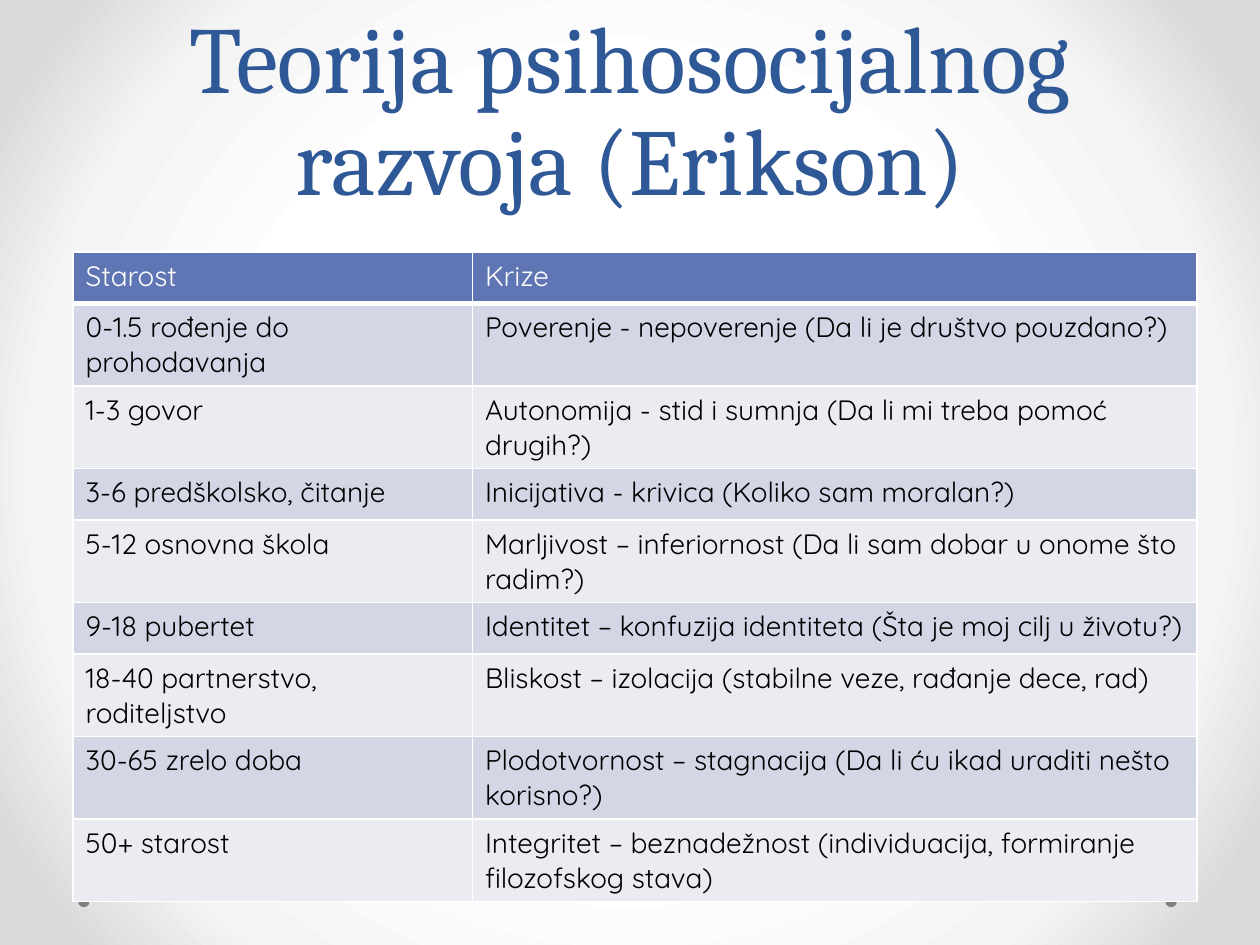
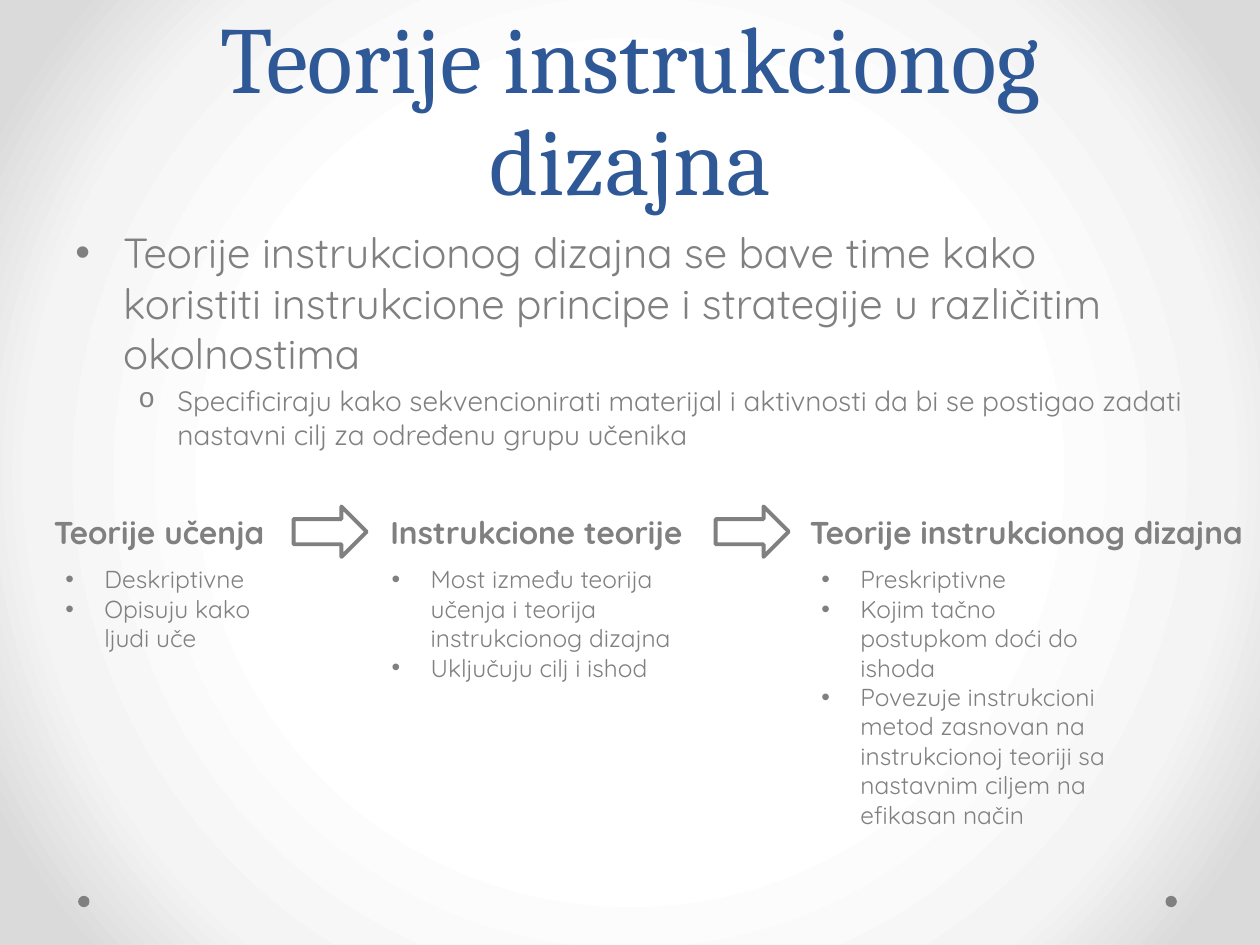
from pptx import Presentation
from pptx.dml.color import RGBColor
from pptx.enum.shapes import MSO_SHAPE
from pptx.enum.text import MSO_ANCHOR, MSO_AUTO_SIZE, PP_ALIGN
from pptx.oxml.ns import qn
from pptx.util import Inches, Pt
from lxml import etree

OVAL, ARROW = MSO_SHAPE.OVAL, MSO_SHAPE.RIGHT_ARROW
CENTER, BOTTOM = PP_ALIGN.CENTER, MSO_ANCHOR.BOTTOM
NO_FIT = MSO_AUTO_SIZE.NONE
TITLE_ONLY = 5

COLORS = {"title": "2F5897", "gray": "808080", "white": "FFFFFF", "black": "000000",
          "head": "6076B4", "odd": "D2D6E5", "even": "EAECF2",
          "mist": "F4F4F4", "edge": "DADADA"}
TITLE_FONT, BODY_FONT = "Cambria", "Quicksand"


def rgb(name):
    return RGBColor.from_string(COLORS[name])


def sub(parent, tag, **attrs):
    return etree.SubElement(parent, qn(tag), {k: str(v) for k, v in attrs.items()})


class Deck:
    def __init__(self):
        self.prs = Presentation()
        self.prs.slide_width, self.prs.slide_height = Inches(10), Inches(7.5)
        self.slide = None
        self.background()

    def background(self):
        """Radial gradient shared by all slides through the master."""
        master = self.prs.slide_master
        master.background.fill.gradient()
        grad = master.element.find(".//" + qn("a:gradFill"))
        for child in list(grad):
            grad.remove(child)
        stops = sub(grad, "a:gsLst")
        for pos, name in ((50, "white"), (76, "mist"), (92, "edge")):
            sub(sub(stops, "a:gs", pos=pos * 1000), "a:srgbClr", val=COLORS[name])
        circle = sub(grad, "a:path", path="circle")
        sub(circle, "a:fillToRect", l=50000, t=50000, r=50000, b=50000)

    def new_slide(self, title):
        self.slide = self.prs.slides.add_slide(self.prs.slide_layouts[TITLE_ONLY])
        for x in (9.25, 0.62):
            self.shape(OVAL, x, 7.11, 0.09, 0.09, "gray")
        sp = self.slide.shapes.title
        sp.left, sp.top, sp.width, sp.height = Inches(0.5), 0, Inches(9), Inches(1.75)
        tf = sp.text_frame
        tf.auto_size, tf.word_wrap, tf.vertical_anchor = NO_FIT, True, BOTTOM
        p = tf.paragraphs[0]
        p.alignment, p.line_spacing = CENTER, Pt(58)
        self.run(p, title, 54, "title", font=TITLE_FONT)

    def run(self, p, text, size, color, bold=False, font=BODY_FONT):
        r = p.add_run()
        r.text = text
        r.font.name, r.font.size, r.font.bold = font, Pt(size), bold
        r.font.color.rgb = rgb(color)

    def shape(self, kind, x, y, w, h, fill, line=None):
        sp = self.slide.shapes.add_shape(kind, Inches(x), Inches(y), Inches(w), Inches(h))
        sp.shadow.inherit = False
        sp.fill.solid()
        sp.fill.fore_color.rgb = rgb(fill)
        if line:
            sp.line.color.rgb, sp.line.width = rgb(line), Pt(2.25)
        else:
            sp.line.fill.background()

    def text_box(self, x, y, w, h):
        box = self.slide.shapes.add_textbox(Inches(x), Inches(y), Inches(w), Inches(h))
        box.text_frame.word_wrap = True
        return box.text_frame

    def heading(self, text, x, y, w, h):
        self.run(self.text_box(x, y, w, h).paragraphs[0], text, 18, "gray", bold=True)

    def bullets(self, items, x, y, w, h):
        """Each item is (text, size, margin, hang, bullet, bullet font, space before)."""
        tf = self.text_box(x, y, w, h)
        for i, (text, size, margin, hang, char, font, before) in enumerate(items):
            p = tf.add_paragraph() if i else tf.paragraphs[0]
            p.space_before = Pt(before)
            self.run(p, text, size, "gray")
            pPr = p._p.get_or_add_pPr()
            pPr.set("marL", str(Inches(margin)))
            pPr.set("indent", str(-Inches(hang)))
            sub(pPr, "a:buFont", typeface=font)
            sub(pPr, "a:buChar", char=char)

    def borders(self, cell, top, bottom):
        tcPr = cell._tc.get_or_add_tcPr()
        sides = (("a:lnL", 1), ("a:lnR", 1), ("a:lnT", top), ("a:lnB", bottom))
        for i, (tag, width) in enumerate(sides):
            ln = sub(tcPr, tag, w=Pt(width))
            sub(sub(ln, "a:solidFill"), "a:srgbClr", val=COLORS["white"])
            tcPr.insert(i, ln)

    def table(self, rows, x, y, widths, row_h):
        frame = self.slide.shapes.add_table(
            len(rows), len(widths), Inches(x), Inches(y),
            Inches(sum(widths)), Inches(row_h * len(rows)))
        table = frame.table
        for col, width in zip(table.columns, widths):
            col.width = Inches(width)
        for i, row in enumerate(rows):
            fill = "head" if i == 0 else "odd" if i % 2 else "even"
            for j, text in enumerate(row):
                cell = table.cell(i, j)
                cell.fill.solid()
                cell.fill.fore_color.rgb = rgb(fill)
                self.run(cell.text_frame.paragraphs[0], text, 16,
                         "black" if i else "white")
                self.borders(cell, 3 if i == 1 else 1, 1 if i else 3)


def erikson_slide(deck):
    deck.new_slide("Teorija psihosocijalnog razvoja (Erikson)")
    deck.table([
        ("Starost", "Krize"),
        ("0-1.5 rođenje do prohodavanja",
         "Poverenje - nepoverenje (Da li je društvo pouzdano?)"),
        ("1-3 govor", "Autonomija - stid i sumnja (Da li mi treba pomoć drugih?)"),
        ("3-6 predškolsko, čitanje", "Inicijativa - krivica (Koliko sam moralan?)"),
        ("5-12 osnovna škola",
         "Marljivost – inferiornost (Da li sam dobar u onome što radim?)"),
        ("9-18 pubertet", "Identitet – konfuzija identiteta (Šta je moj cilj u životu?)"),
        ("18-40 partnerstvo, roditeljstvo",
         "Bliskost – izolacija (stabilne veze, rađanje dece, rad)"),
        ("30-65 zrelo doba",
         "Plodotvornost – stagnacija (Da li ću ikad uraditi nešto korisno?)"),
        ("50+ starost",
         "Integritet – beznadežnost (individuacija, formiranje filozofskog stava)"),
    ], 0.58, 2, (3.17, 5.75), 0.41)


def design_slide(deck):
    deck.new_slide("Teorije instrukcionog dizajna")
    deck.bullets([
        ("Teorije instrukcionog dizajna se bave time kako koristiti instrukcione "
         "principe i strategije u različitim okolnostima",
         24, 0.38, 0.38, "•", "Arial", 4.8),
        ("Specificiraju kako sekvencionirati materijal i aktivnosti da bi se postigao "
         "zadati nastavni cilj za određenu grupu učenika",
         16, 0.81, 0.31, "o", "Courier New", 3.2),
    ], 0.5, 1.75, 9, 4.95)

    # Three kinds of theory: heading (left, width), list (left, width, height)
    theories = [
        ("Teorije učenja", 0.33, 2, 0.42, 2, 1.28,
         ["Deskriptivne", "Opisuju kako ljudi uče"]),
        ("Instrukcione teorije", 3, 2.67, 3.01, 2.49, 1.51,
         ["Most između teorija učenja i teorija instrukcionog dizajna",
          "Uključuju cilj i ishod"]),
        ("Teorije instrukcionog dizajna", 6.33, 3.78, 6.42, 2.49, 2.69,
         ["Preskriptivne", "Kojim tačno postupkom doći do ishoda",
          "Povezuje instrukcioni metod zasnovan na instrukcionoj teoriji sa "
          "nastavnim ciljem na efikasan način"]),
    ]
    row_y, row_h = 4.02, 0.4
    for name, x, w, list_x, list_w, list_h, points in theories:
        deck.heading(name, x, row_y, w, row_h)
        deck.bullets([(text, 14, 0.31, 0.31, "•", "Arial", 0) for text in points],
                     list_x, 4.43, list_w, list_h)

    # Arrows between the headings
    for x in (2.33, 5.68):
        deck.shape(ARROW, x, row_y, 0.58, row_h, "white", line="gray")


def main():
    deck = Deck()
    erikson_slide(deck)
    design_slide(deck)
    deck.prs.save("out.pptx")


if __name__ == "__main__":
    main()
